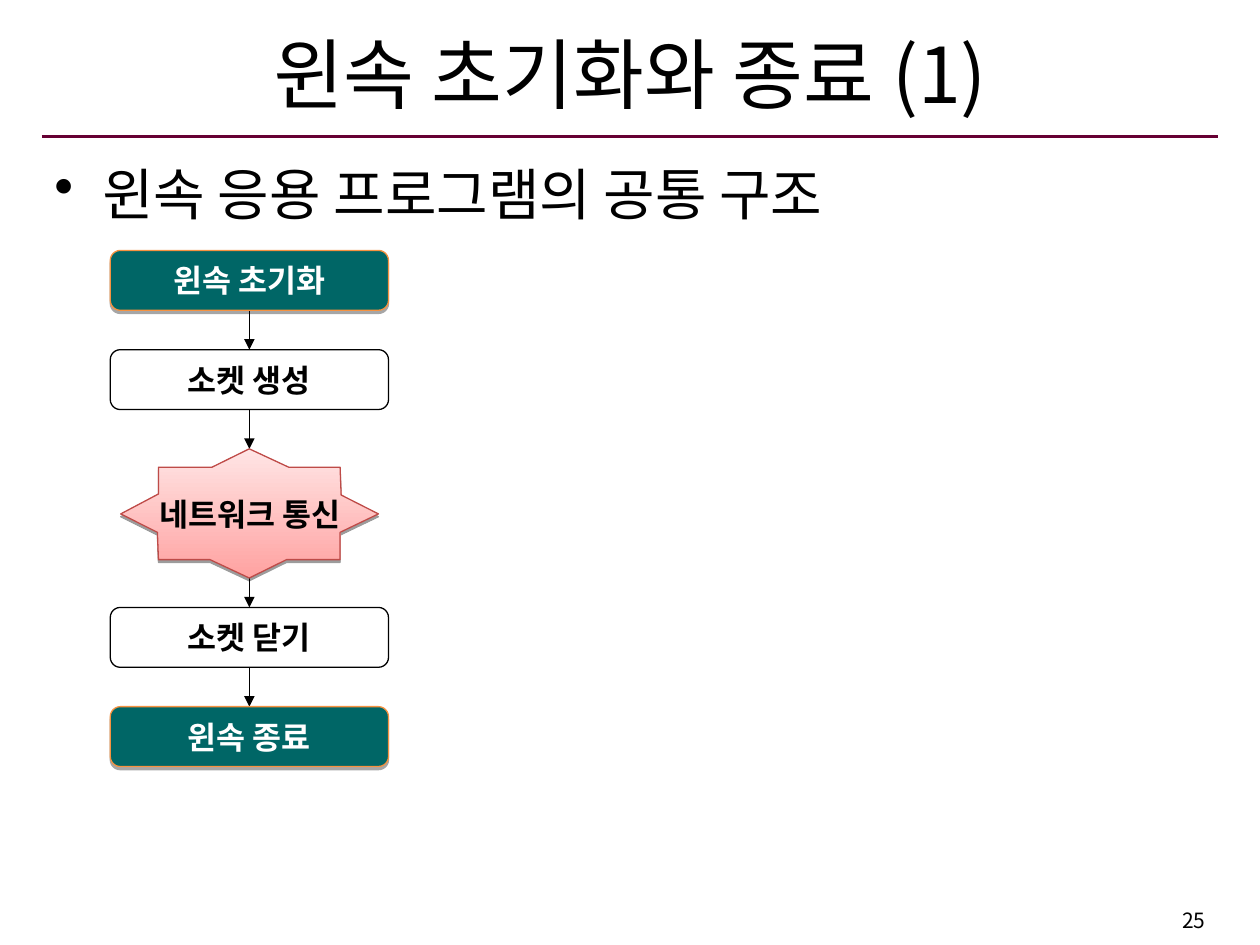
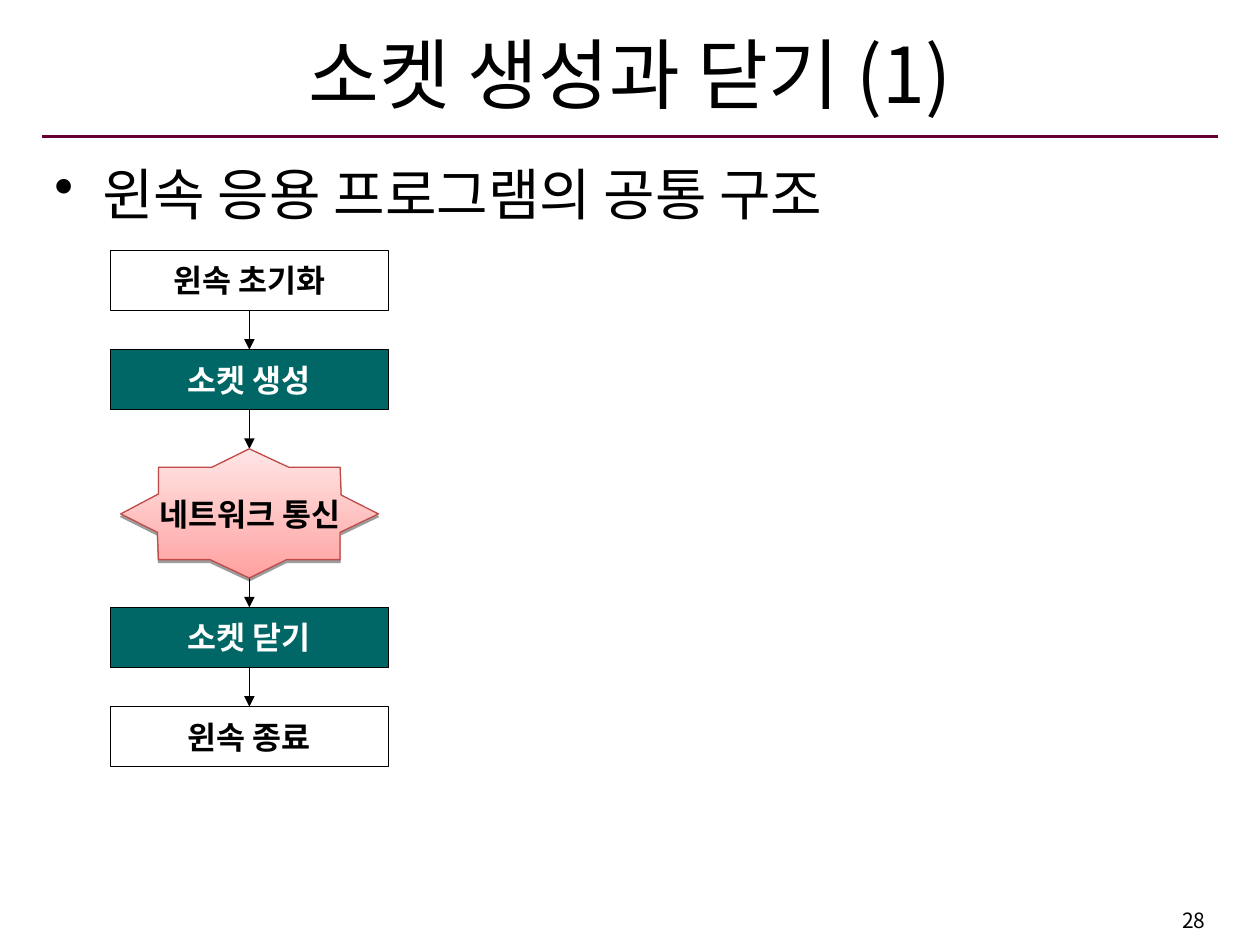
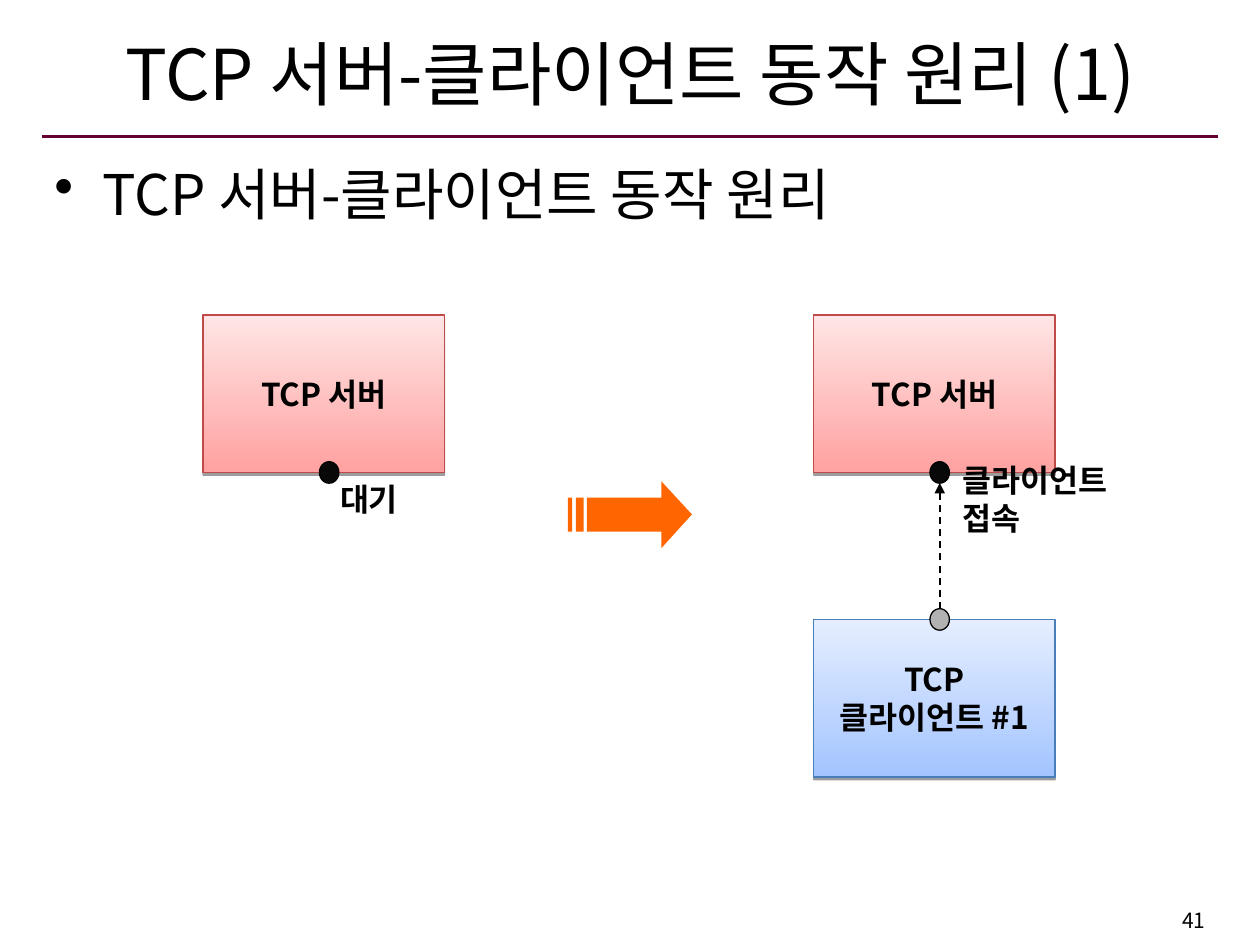
import pptx
import pptx.dml.color
import pptx.enum.dml
import pptx.enum.shapes
import pptx.enum.text
import pptx.oxml
import pptx.oxml.ns
import pptx.util

FONT = "Noto Sans CJK KR"
COLORS = {
    "ink": "000000", "paper": "FFFFFF", "rule": "660033", "teal": "006666",
    "teal_edge": "F69240", "red_low": "FFA2A1", "red_high": "FFE5E5",
    "red_edge": "BE4B48", "blue_low": "A3C4FF", "blue_high": "E5EEFF",
    "blue_edge": "4A7EBB", "waiting": "080808", "client": "B2B2B2",
    "orange": "FF6600",
}
RED = ("red_low", "red_high")
BLUE = ("blue_low", "blue_high")

# The slide is a grid of 120 columns by 90 rows; all lengths count its cells.
COLUMNS, ROWS = 120, 90
CELL = pptx.util.Inches(10) // COLUMNS
MARGIN = 4
CONTENT_WIDTH = COLUMNS - 2 * MARGIN

STEP_LEFT, STEP_WIDTH, STEP_HEIGHT = 10.5, 26.5, 5.7
STEP_PITCH = 9.45
FIRST_STEP, CLOSING_STEP = 23.85, 57.85
STEP_CENTER = STEP_LEFT + STEP_WIDTH / 2
BURST = [(11.5, 48.95), (15, 50.7), (15.1, 53.3), (20, 53.3), (23.75, 55.05),
         (27.3, 53.3), (32.4, 53.3), (32.4, 50.7), (36.05, 48.95), (32.5, 47.15),
         (32.4, 44.5), (27.5, 44.5), (23.75, 42.75), (20.2, 44.5), (15.1, 44.5),
         (15.1, 47.05)]
STEPS = ["윈속 초기화", "소켓 생성", "소켓 닫기", "윈속 종료"]

HOST_WIDTH, HOST_HEIGHT = 23, 15
SERVER_TOP, CLIENT_TOP = 30, 59
PORT_SHIFT, PORT_WIDTH, PORT_HEIGHT = 12, 1.85, 2.05

SHAPE = pptx.enum.shapes.MSO_SHAPE
ALIGN = pptx.enum.text.PP_ALIGN
ANCHOR = pptx.enum.text.MSO_ANCHOR


def cells(*counts):
    return [pptx.util.Emu(round(count * CELL)) for count in counts]


def rgb(name):
    return pptx.dml.color.RGBColor.from_string(COLORS[name])


def xml(text):
    head, tail = text.split(" ", 1)
    return pptx.oxml.parse_xml(f"{head} {pptx.oxml.ns.nsdecls('a')} {tail}")


def write(shape, text, size=18, color="ink", bold=False, align=ALIGN.CENTER,
          anchor=ANCHOR.MIDDLE, wrap=False, bullet=False):
    frame = shape.text_frame
    frame.word_wrap = wrap
    frame.vertical_anchor = anchor
    frame.text = text
    for paragraph in frame.paragraphs:
        paragraph.alignment = align
        if bullet:
            properties = paragraph._p.get_or_add_pPr()
            indent = pptx.util.Inches(0.38)
            properties.set("marL", str(indent))
            properties.set("indent", str(-indent))
            properties.append(xml('<a:buChar char="•"/>'))
        for run in paragraph.runs:
            run.font.size = pptx.util.Pt(size)
            run.font.bold = bold
            run.font.name = FONT
            run.font.color.rgb = rgb(color)
            run._r.get_or_add_rPr().append(xml(f'<a:ea typeface="{FONT}"/>'))


def add_text(slide, text, left, top, width, height, **style):
    write(slide.shapes.add_textbox(*cells(left, top, width, height)), text, **style)


def paint(shape, fill=None, edge=None, shadow=None):
    """Fill with a colour or a (low, high) pair; shadow is (opacity %, distance pt)."""
    if fill is None:
        shape.fill.background()
    elif isinstance(fill, tuple):
        shape.fill.gradient()
        shape.fill.gradient_angle = 90
        for stop, name in zip(shape.fill.gradient_stops, fill):
            stop.color.rgb = rgb(name)
    else:
        shape.fill.solid()
        shape.fill.fore_color.rgb = rgb(fill)
    if edge:
        shape.line.color.rgb = rgb(edge)
        shape.line.width = pptx.util.Pt(0.75)
    else:
        shape.line.fill.background()
    shape.shadow.inherit = False
    if shadow:
        opacity, distance = shadow
        effects = shape._element.spPr.find(pptx.oxml.ns.qn("a:effectLst"))
        effects.append(xml(
            f'<a:outerShdw blurRad="0" dist="{pptx.util.Pt(distance)}" dir="5400000" '
            f'rotWithShape="0"><a:srgbClr val="{COLORS["ink"]}">'
            f'<a:alpha val="{opacity * 1000}"/></a:srgbClr></a:outerShdw>'))


def add_block(slide, kind, left, top, width, height, **look):
    block = slide.shapes.add_shape(kind, *cells(left, top, width, height))
    paint(block, **look)
    return block


def add_outline(slide, contours, **look):
    builder = None
    for contour in contours:
        start, *rest = [cells(*point) for point in contour]
        if builder is None:
            builder = slide.shapes.build_freeform(*start, scale=1.0)
        else:
            builder.move_to(*start)
        builder.add_line_segments(rest, close=True)
    outline = builder.convert_to_shape()
    paint(outline, **look)
    return outline


def add_line(slide, start, end, color="ink", width=0.75, arrow=True, dashed=False):
    line = slide.shapes.add_connector(
        pptx.enum.shapes.MSO_CONNECTOR.STRAIGHT, *cells(*start, *end))
    line.line.color.rgb = rgb(color)
    line.line.width = pptx.util.Pt(width)
    if dashed:
        line.line.dash_style = pptx.enum.dml.MSO_LINE.DASH
    if arrow:
        line.line._get_or_add_ln().append(xml('<a:tailEnd type="triangle"/>'))
    line._element.spPr.append(xml("<a:effectLst />"))


def add_page(deck, title, topic, number, title_size=44):
    slide = deck.slides.add_slide(deck.slide_layouts[6])
    add_line(slide, (MARGIN, 13), (COLUMNS - MARGIN, 13), color="rule", width=2.25,
             arrow=False)
    add_text(slide, str(number), 90.5, 85.8, 25.5, 4, size=12, align=ALIGN.RIGHT,
             anchor=ANCHOR.TOP, wrap=True)
    add_text(slide, title, MARGIN, 1.8, CONTENT_WIDTH, 10.2, size=title_size, wrap=True)
    add_text(slide, topic, MARGIN, 14.65, CONTENT_WIDTH, 70.3, size=32,
             align=ALIGN.LEFT, anchor=ANCHOR.TOP, wrap=True, bullet=True)
    return slide


def add_socket_flow(slide, kind, active, **active_look):
    """Draw the four steps around the network burst, with the active ones in teal."""
    tops = [FIRST_STEP, FIRST_STEP + STEP_PITCH, CLOSING_STEP, CLOSING_STEP + STEP_PITCH]
    burst_top = FIRST_STEP + 2 * STEP_PITCH
    for target in sorted(tops[1:] + [burst_top]):
        add_line(slide, (STEP_CENTER, target - STEP_PITCH + STEP_HEIGHT),
                 (STEP_CENTER, target))
    for label, top in zip(STEPS, tops):
        is_active = label in active
        look = {"fill": "teal", "edge": "ink", **active_look} if is_active else {"edge": "ink"}
        step = add_block(slide, kind, STEP_LEFT, top, STEP_WIDTH, STEP_HEIGHT, **look)
        write(step, label, bold=True, color="paper" if is_active else "ink")
    burst = add_outline(slide, [BURST], fill=RED, edge="red_edge", shadow=(38, 1.6))
    write(burst, "네트워크 통신", bold=True)


def add_host(slide, label, left, top, fill, edge, port_row, port_fill):
    host = add_block(slide, SHAPE.RECTANGLE, left, top, HOST_WIDTH, HOST_HEIGHT,
                     fill=fill, edge=edge, shadow=(38, 1.6))
    write(host, label, bold=True)
    add_block(slide, SHAPE.OVAL, left + PORT_SHIFT - PORT_WIDTH / 2,
              port_row - PORT_HEIGHT / 2, PORT_WIDTH, PORT_HEIGHT,
              fill=port_fill, edge="ink")


def add_server(slide, left, state, state_left):
    add_host(slide, "TCP 서버", left, SERVER_TOP, RED, "red_edge",
             SERVER_TOP + HOST_HEIGHT, "waiting")
    add_text(slide, state, state_left, 46, 20.3, 3, bold=True, align=ALIGN.LEFT)


def add_striped_arrow(slide):
    top, bottom = 47.4, 50.65
    head = [(63, 45.85), (63, top), (55.9, top), (55.9, bottom), (63, bottom),
            (63, 52.2), (65.9, 49)]
    stripes = [[(left, top), (left, bottom), (right, bottom), (right, top)]
               for left, right in [(54.85, 55.6), (54.1, 54.5)]]
    add_outline(slide, [head, *stripes], fill="orange")


def add_connection(slide):
    before, after = 19.35, 77.5
    add_server(slide, before, "대기", 31.2)
    add_server(slide, after, "클라이언트 접속", 90.5)
    add_host(slide, "TCP\n클라이언트 #1", after, CLIENT_TOP, BLUE, "blue_edge",
             CLIENT_TOP, "client")
    port = after + PORT_SHIFT
    add_line(slide, (port, 58), (port, 46), width=1, dashed=True)
    add_striped_arrow(slide)


def main():
    deck = pptx.Presentation()
    deck.slide_width, deck.slide_height = cells(COLUMNS, ROWS)
    structure = "윈속 응용 프로그램의 공통 구조"

    startup = add_page(deck, "윈속 초기화와 종료 (1)", structure, 25)
    add_socket_flow(startup, SHAPE.ROUNDED_RECTANGLE, (STEPS[0], STEPS[3]),
                    edge="teal_edge", shadow=(35, 1.8))

    sockets = add_page(deck, "소켓 생성과 닫기 (1)", structure, 28)
    add_socket_flow(sockets, SHAPE.RECTANGLE, (STEPS[1], STEPS[2]))

    principle = "TCP 서버-클라이언트 동작 원리"
    connection = add_page(deck, f"{principle} (1)", principle, 41, title_size=40)
    add_connection(connection)

    deck.save("out.pptx")


if __name__ == "__main__":
    main()
